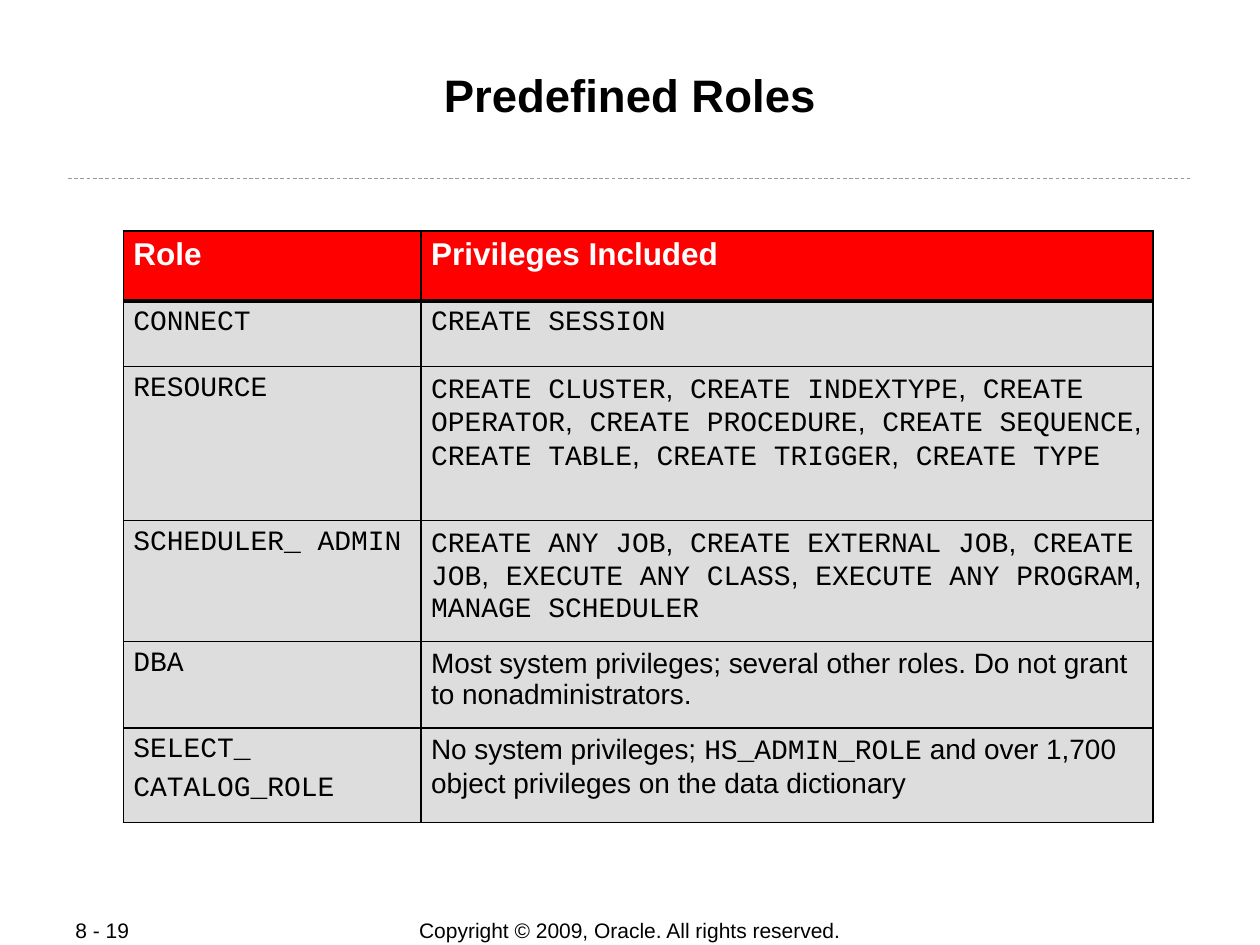
from lxml.etree import SubElement
from pptx import Presentation
from pptx.dml.color import RGBColor
from pptx.enum.dml import MSO_LINE
from pptx.enum.shapes import MSO_CONNECTOR
from pptx.enum.text import MSO_ANCHOR, MSO_AUTO_SIZE, PP_ALIGN
from pptx.oxml import parse_xml
from pptx.oxml.ns import nsdecls, qn
from pptx.util import Cm, Pt

SANS, MONO = "Arial", "Courier New"
BLACK, WHITE, RED, GRAY, DASH = "000000", "FFFFFF", "FF0000", "DDDDDD", "999999"


def color(code):
    return RGBColor.from_string(code)


def commas(*names):
    """Join privilege names so that each comma is a sans piece."""
    return "|,| ".join(names)


# Pieces between bars alternate: monospaced, sans, monospaced, ...
ROWS = [
    ("|Role", "|Privileges Included"),
    ("CONNECT", "CREATE SESSION"),
    ("RESOURCE", commas(
        "CREATE CLUSTER", "CREATE INDEXTYPE", "CREATE OPERATOR",
        "CREATE PROCEDURE", "CREATE SEQUENCE", "CREATE TABLE",
        "CREATE TRIGGER", "CREATE TYPE")),
    ("SCHEDULER_ ADMIN", commas(
        "CREATE ANY JOB", "CREATE EXTERNAL JOB", "CREATE JOB",
        "EXECUTE ANY CLASS", "EXECUTE ANY PROGRAM", "MANAGE SCHEDULER")),
    ("DBA", "|Most system privileges; several other roles. "
            "Do not grant to nonadministrators."),
    ("SELECT_\nCATALOG_ROLE", "|No system privileges; |HS_ADMIN_ROLE"
     "| and over 1,700 object privileges on the data dictionary"),
]
WIDTHS = [6, 14.75]
HEIGHTS = [1.42, 1.32, 3.1, 2.44, 1.75, 1.9]


class Deck:
    def __init__(self, wide, high):
        self.show = Presentation()
        self.show.slide_width, self.show.slide_height = Cm(wide), Cm(high)
        self.slide = self.show.slides.add_slide(self.show.slide_layouts[5])

    def style(self, run, size, font=SANS, ink=BLACK, bold=False):
        run.font.name, run.font.size, run.font.bold = font, Pt(size), bold
        run.font.color.rgb = color(ink)

    def title(self, text, x, y, w, h):
        box = self.slide.shapes.title
        box.left, box.top, box.width, box.height = Cm(x), Cm(y), Cm(w), Cm(h)
        frame = box.text_frame
        frame.text = text
        frame.auto_size = MSO_AUTO_SIZE.NONE
        frame.vertical_anchor = MSO_ANCHOR.TOP
        frame.margin_left = frame.margin_right = frame.margin_bottom = Cm(0.03)
        frame.margin_top = Cm(0.13)
        para = frame.paragraphs[0]
        para.alignment = PP_ALIGN.CENTER
        self.style(para.runs[0], 26, bold=True)

    def text(self, text, x, y, w, h, align):
        box = self.slide.shapes.add_textbox(Cm(x), Cm(y), Cm(w), Cm(h))
        frame = box.text_frame
        frame.text = text
        frame.word_wrap = True
        frame.vertical_anchor = MSO_ANCHOR.MIDDLE
        para = frame.paragraphs[0]
        para.alignment = align
        self.style(para.runs[0], 12)

    def rule(self, x, y, end):
        line = self.slide.shapes.add_connector(
            MSO_CONNECTOR.STRAIGHT, Cm(x), Cm(y), Cm(end), Cm(y))
        line.line.color.rgb = color(DASH)
        line.line.width = Pt(0.5)
        line.line.dash_style = MSO_LINE.DASH
        SubElement(line._element.spPr, qn("a:effectLst"))

    def border(self, cell, **widths):
        props = cell._tc.get_or_add_tcPr()
        for side in "LRTB":
            props.append(parse_xml(
                f'<a:ln{side} {nsdecls("a")} w="{Pt(widths.get(side, 1.08))}">'
                f'<a:solidFill><a:srgbClr val="{BLACK}"/></a:solidFill>'
                f'</a:ln{side}>'))

    def cell(self, cell, text, head):
        # Cell frame: borders come before the fill
        self.border(cell, **head["edge"])
        cell.fill.solid()
        cell.fill.fore_color.rgb = color(head["fill"])
        cell.margin_left = cell.margin_right = Cm(0.2)
        cell.margin_top = cell.margin_bottom = Cm(0.13)
        # Words
        frame = cell.text_frame
        for i, line in enumerate(text.split("\n")):
            para = frame.add_paragraph() if i else frame.paragraphs[0]
            if i:
                para.space_before = Pt(4)
            for j, piece in enumerate(line.split("|")):
                if piece:
                    run = para.add_run()
                    run.text = piece
                    self.style(run, head["size"], SANS if j % 2 else MONO,
                               head["ink"], head["bold"])

    def table(self, rows, x, y, widths, heights):
        grid = self.slide.shapes.add_table(
            len(rows), len(widths), Cm(x), Cm(y),
            Cm(sum(widths)), Cm(sum(heights))).table
        grid.horz_banding = False
        for col, width in zip(grid.columns, widths):
            col.width = Cm(width)
        for row, height in zip(grid.rows, heights):
            row.height = Cm(height)
        top = dict(fill=RED, ink=WHITE, size=18, bold=True, edge={"B": 2.21})
        body = dict(fill=GRAY, ink=BLACK, size=16, bold=False, edge={})
        first = {**body, "edge": {"T": 2.21}}
        looks = [top, first] + [body] * (len(rows) - 2)
        for r, (row, look) in enumerate(zip(rows, looks)):
            for c, text in enumerate(row):
                self.cell(grid.cell(r, c), text, look)


def main():
    deck = Deck(25.4, 19.05)
    # Footer and rule
    deck.text("Copyright © 2009, Oracle. All rights reserved.",
              7, 18.5, 11.4, 0.52, PP_ALIGN.CENTER)
    deck.rule(1.37, 3.6, 24.03)
    deck.text("8 - 19", 1.27, 18.5, 2.7, 0.52, PP_ALIGN.LEFT)
    # Title and table
    deck.title("Predefined Roles", 1.7, 1.22, 22, 2.44)
    deck.table(ROWS, 2.49, 4.65, WIDTHS, HEIGHTS)
    deck.show.save("out.pptx")


if __name__ == "__main__":
    main()
